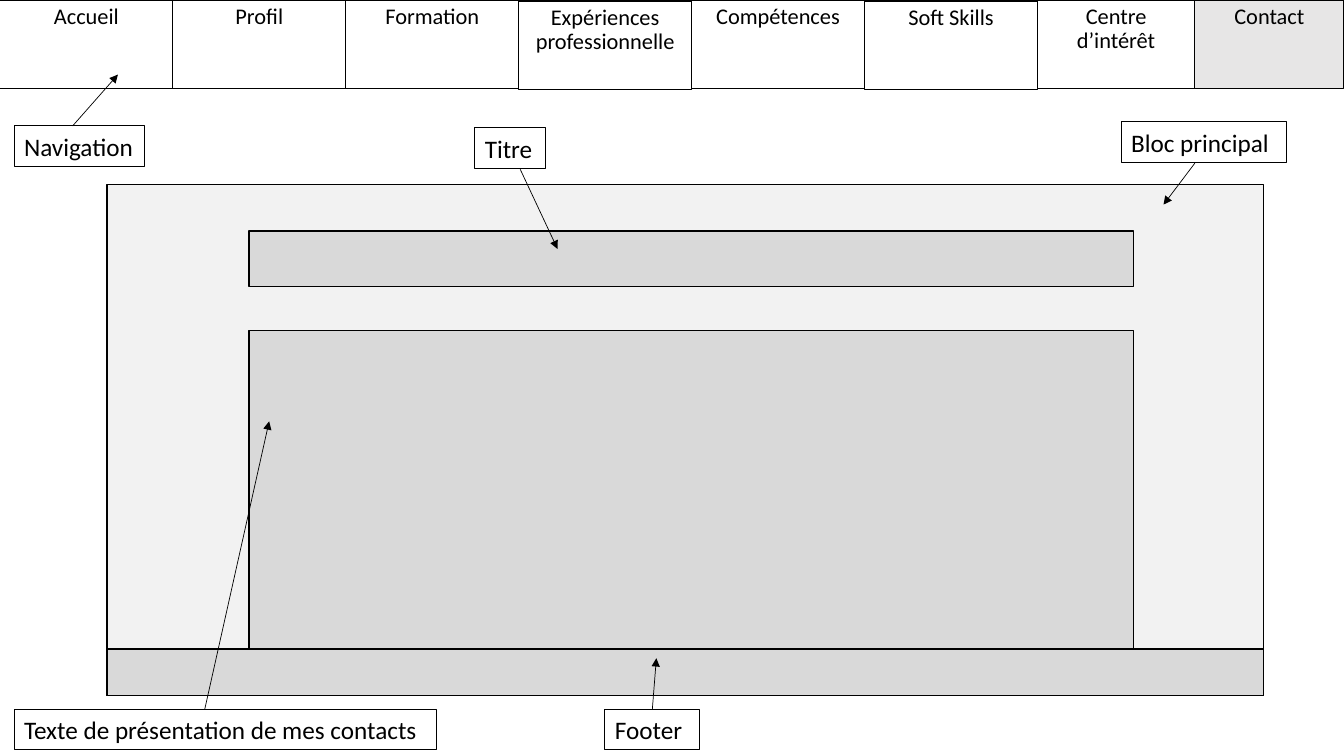
from pptx import Presentation
from pptx.dml.color import RGBColor
from pptx.enum.shapes import MSO_CONNECTOR, MSO_SHAPE
from pptx.enum.text import MSO_ANCHOR, MSO_AUTO_SIZE, PP_ALIGN
from pptx.oxml.ns import qn
from pptx.util import Inches, Pt
from lxml.etree import SubElement

COLORS = {
    "ink": "000000",
    "tab": "FFFFFF",
    "active_tab": "E7E6E6",
    "main": "F2F2F2",
    "block": "D9D9D9",
}
FONT = "Calibri"
SLIDE_WIDTH, SLIDE_HEIGHT = 13.33, 7.5

# Tab text, width, top offset
TABS = [
    ("Accueil", 1.715, 0),
    ("Profil", 1.715, 0),
    ("Formation", 1.715, 0),
    ("Expériences professionnelle", 1.715, 0.01),
    ("Compétences", 1.715, 0),
    ("Soft Skills", 1.715, 0.01),
    ("Centre d’intérêt", 1.56, 0),
    ("Contact", 1.48, 0),
]

# Label text, left, top, width, arrow start, arrow end
LABELS = [
    ("Navigation", 0.14, 1.25, 1.29, (0.72, 1.25), (1.17, 0.74)),
    ("Bloc principal", 11.12, 1.21, 1.64, (11.85, 1.62), (11.54, 2.03)),
    ("Titre", 4.71, 1.27, 0.7, (5.16, 1.68), (5.53, 2.47)),
    ("Texte de présentation de mes contacts", 0.14, 7.04, 4.19, (2.03, 7.04), (2.67, 4.18)),
    ("Footer", 6, 7.04, 0.94, (6.47, 7.04), (6.51, 6.53)),
]


def color(name):
    return RGBColor.from_string(COLORS[name])


def add_box(slide, left, top, width, height, fill=None, line_width=0.75):
    box = slide.shapes.add_shape(
        MSO_SHAPE.RECTANGLE, Inches(left), Inches(top), Inches(width), Inches(height))
    box.shadow.inherit = False
    if fill:
        box.fill.solid()
        box.fill.fore_color.rgb = color(fill)
    else:
        box.fill.background()
    box.line.color.rgb = color("ink")
    box.line.width = Pt(line_width)
    return box


def write(box, text, size, align):
    frame = box.text_frame
    frame.word_wrap = True
    frame.vertical_anchor = MSO_ANCHOR.TOP
    paragraph = frame.paragraphs[0]
    paragraph.text = text
    paragraph.alignment = align
    paragraph.font.name = FONT
    paragraph.font.size = Pt(size)
    paragraph.font.color.rgb = color("ink")
    return paragraph


def add_arrow(slide, start, end):
    arrow = slide.shapes.add_connector(
        MSO_CONNECTOR.STRAIGHT, *(Inches(value) for value in (*start, *end)))
    arrow.line.color.rgb = color("ink")
    arrow.line.width = Pt(0.5)
    SubElement(arrow.line._get_or_add_ln(), qn("a:tailEnd"), type="triangle")
    SubElement(arrow._element.spPr, qn("a:effectLst"))


def add_navigation(slide, left, top, height):
    for name, width, offset in TABS:
        fill = "active_tab" if name == "Contact" else "tab"
        tab = add_box(slide, left, top + offset, width, height, fill)
        paragraph = write(tab, name, 16, PP_ALIGN.CENTER)
        paragraph.line_spacing = 0.9
        paragraph.space_before = Pt(10)
        left += width


def add_main_block(slide, left, top, width, height):
    footer_height = 0.46
    inner_left, inner_width = left + 1.41, 8.77
    text_top = top + 1.45
    footer_top = top + height - footer_height

    add_box(slide, left, top, width, height, "main", 1)
    # Title bar, text area and footer
    add_box(slide, inner_left, top + 0.46, inner_width, 0.55, "block", 1)
    add_box(slide, inner_left, text_top, inner_width, footer_top - text_top, "block", 1)
    add_box(slide, left, footer_top, width, footer_height, "block", 1)


def add_label(slide, text, left, top, width, start, end):
    add_arrow(slide, start, end)
    label = add_box(slide, left, top, width, 0.4)
    write(label, text, 18, PP_ALIGN.LEFT)
    label.text_frame.auto_size = MSO_AUTO_SIZE.SHAPE_TO_FIT_TEXT


def main():
    deck = Presentation()
    deck.slide_width = Inches(SLIDE_WIDTH)
    deck.slide_height = Inches(SLIDE_HEIGHT)
    slide = deck.slides.add_slide(deck.slide_layouts[6])

    add_navigation(slide, 0, 0, 0.88)
    add_main_block(slide, 1.06, 1.83, 11.47, 5.07)
    for label in LABELS:
        add_label(slide, *label)

    deck.save("out.pptx")


if __name__ == "__main__":
    main()
